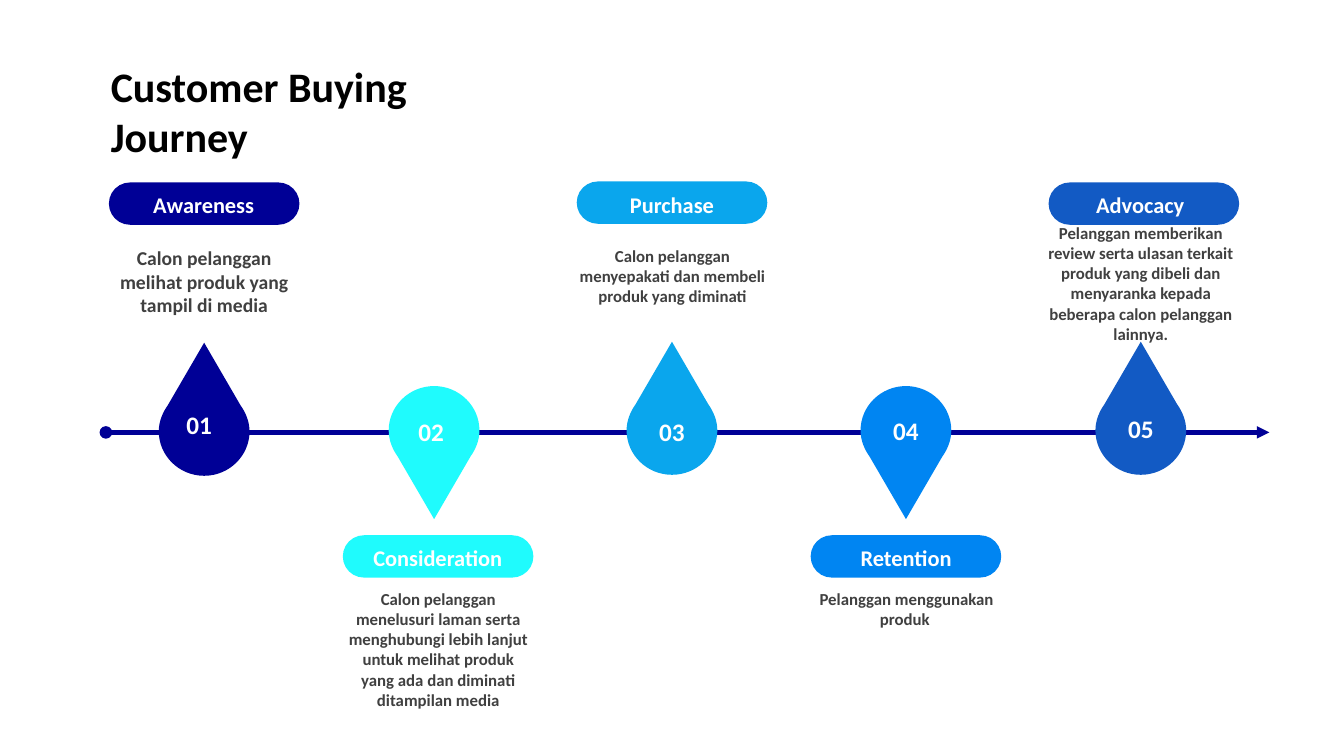
from typing import NamedTuple

from lxml import etree
from pptx import Presentation
from pptx.dml.color import RGBColor
from pptx.enum.shapes import MSO_CONNECTOR, MSO_SHAPE
from pptx.enum.text import MSO_AUTO_SIZE, PP_ALIGN
from pptx.oxml.ns import qn
from pptx.util import Inches, Pt

STRAIGHT = MSO_CONNECTOR.STRAIGHT
ROUNDED = MSO_SHAPE.ROUNDED_RECTANGLE
GROW = MSO_AUTO_SIZE.SHAPE_TO_FIT_TEXT
LEFT, CENTER = PP_ALIGN.LEFT, PP_ALIGN.CENTER

FONT = "Calibri"
COLORS = {
    "navy": "000096",
    "cyan": "1FFBFD",
    "sky": "0AA6ED",
    "azure": "0085F2",
    "royal": "125AC4",
    "title": "000000",
    "body": "404040",
    "white": "FFFFFF",
}

FIRST_COLUMN, LAST_COLUMN, COLUMN_WIDTH = 1.0, 10.29, 2.05
DROP_WIDTH, DROP_HEIGHT = 0.89, 1.32
# Upright drop, measured from its tip: straight side, then four curves
SHOULDER = (0.36, 0.62)
DROP_CURVES = [
    [(0.41, 0.69), (0.45, 0.78), (0.45, 0.88)],
    [(0.45, 1.12), (0.25, 1.32), (0, 1.32)],
    [(-0.25, 1.32), (-0.45, 1.12), (-0.45, 0.88)],
    [(-0.45, 0.78), (-0.41, 0.69), (-0.36, 0.62)],
]


class Stage(NamedTuple):
    name: str
    description: str
    color: str
    pill: tuple
    drop: tuple
    upward: bool
    description_y: float
    description_height: float
    number_box: tuple
    description_size: int = 12


STAGES = [
    Stage("Awareness", "Calon pelanggan melihat produk yang tampil di media",
          "navy", (1.08, 1.81), (1.58, 3.4), True, 2.39, 0.81,
          (1.75, 4.01, 0.54, 0.4), 14),
    Stage("Consideration",
          "Calon pelanggan menelusuri laman serta menghubungi lebih lanjut "
          "untuk melihat produk yang ada dan diminati ditampilan media",
          "cyan", (3.4, 5.31), (3.86, 3.83), False, 5.79, 1.31,
          (4.05, 4.08, 0.55, 0.4)),
    Stage("Purchase", "Calon pelanggan menyepakati dan membeli produk yang diminati",
          "sky", (5.72, 1.8), (6.22, 3.39), True, 2.39, 0.91,
          (6.44, 4.08, 0.76, 0.4)),
    Stage("Retention", "Pelanggan menggunakan produk ",
          "azure", (8.04, 5.31), (8.54, 3.83), False, 5.79, 0.5,
          (8.76, 4.07, 0.67, 0.4)),
    Stage("Advocacy",
          "Pelanggan memberikan review serta ulasan terkait produk yang dibeli "
          "dan menyaranka kepada beberapa calon pelanggan lainnya.",
          "royal", (10.4, 1.81), (10.87, 3.39), True, 2.16, 1.31,
          (11.09, 4.05, 0.74, 0.4)),
]


def rgb(color):
    return RGBColor.from_string(COLORS[color])


def paint(shape, color):
    shape.shadow.inherit = False
    shape.fill.solid()
    shape.fill.fore_color.rgb = rgb(color)
    shape.line.fill.background()


def add_text(slide, box, text, size, color, align=CENTER):
    frame = slide.shapes.add_textbox(*map(Inches, box)).text_frame
    frame.word_wrap = True
    frame.auto_size = GROW
    paragraph = frame.paragraphs[0]
    paragraph.text = text
    paragraph.alignment = align
    font = paragraph.font
    font.name, font.size, font.bold = FONT, Pt(size), True
    font.color.rgb = rgb(color)


def add_timeline(slide, left, right, y):
    timeline = slide.shapes.add_connector(
        STRAIGHT, Inches(left), Inches(y), Inches(right), Inches(y))
    timeline.line.color.rgb = rgb("navy")
    timeline.line.width = Pt(3)
    outline = timeline.line._get_or_add_ln()
    etree.SubElement(outline, qn("a:headEnd"), type="oval")
    etree.SubElement(outline, qn("a:tailEnd"), type="triangle")
    etree.SubElement(timeline._element.spPr, qn("a:effectLst"))


def add_drop(slide, left, top, upward, color):
    tip_x = left + DROP_WIDTH / 2
    corners = [SHOULDER] + [curve[-1] for curve in DROP_CURVES]
    builder = slide.shapes.build_freeform(Inches(tip_x), Inches(top))
    builder.add_line_segments(
        [(Inches(tip_x + x), Inches(top + y)) for x, y in corners], close=True)
    drop = builder.convert_to_shape()

    # Bend every side after the first straight one
    sides = list(drop._element.iter(qn("a:lnTo")))[1:]
    for side, curve in zip(sides, DROP_CURVES):
        side.tag = qn("a:cubicBezTo")
        for x, y in reversed(curve[:2]):
            point = etree.Element(qn("a:pt"), x=str(Inches(tip_x + x) - drop.left),
                                  y=str(Inches(top + y) - drop.top))
            side.insert(0, point)
    drop.rotation = 0 if upward else 180
    paint(drop, color)


def add_stage(slide, column, stage):
    pill_x, pill_y = stage.pill

    # Pill and drop
    pill = slide.shapes.add_shape(
        ROUNDED, Inches(pill_x), Inches(pill_y), Inches(1.89), Inches(0.42))
    pill.adjustments[0] = 0.5
    paint(pill, stage.color)
    add_drop(slide, *stage.drop, stage.upward, stage.color)

    # Description and name
    add_text(slide,
             (column, stage.description_y, COLUMN_WIDTH, stage.description_height),
             stage.description, stage.description_size, "body")
    name_y = 1.85 if stage.upward else 5.35
    add_text(slide, (column + 0.22, name_y, 1.6, 0.37), stage.name, 16, "white")


def main():
    deck = Presentation()
    deck.slide_width, deck.slide_height = Inches(13.33), Inches(7.5)
    slide = deck.slides.add_slide(deck.slide_layouts[6])

    add_timeline(slide, 1.05, 12.59, 4.29)
    column_step = (LAST_COLUMN - FIRST_COLUMN) / (len(STAGES) - 1)
    columns = [(FIRST_COLUMN + i * column_step, stage) for i, stage in enumerate(STAGES)]
    # Upper stages first, then lower ones
    for column, stage in columns[::2] + columns[1::2]:
        add_stage(slide, column, stage)

    add_text(slide, (1, 0.55, 3.35, 1.11), "Customer Buying Journey", 30, "title", LEFT)
    for number, stage in enumerate(STAGES, 1):
        add_text(slide, stage.number_box, f"{number:02}", 18, "white", LEFT)

    deck.save("out.pptx")


if __name__ == "__main__":
    main()
